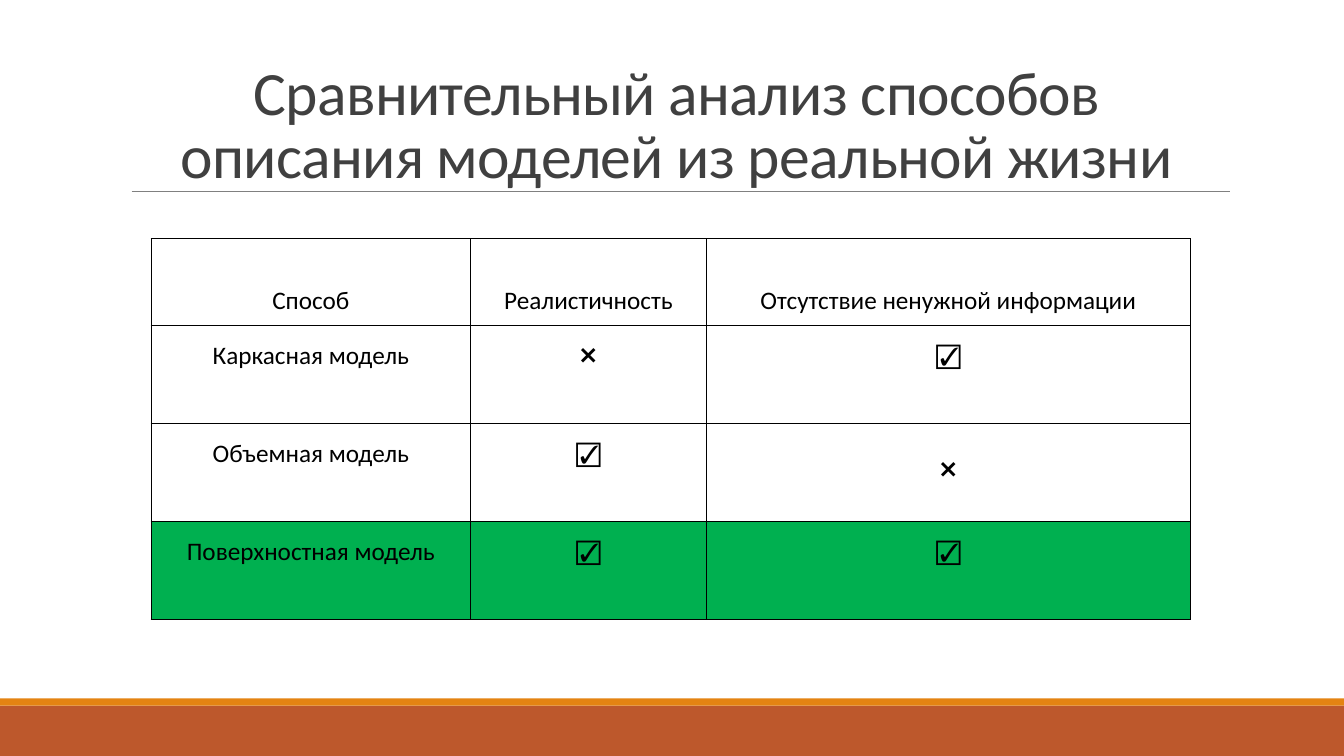
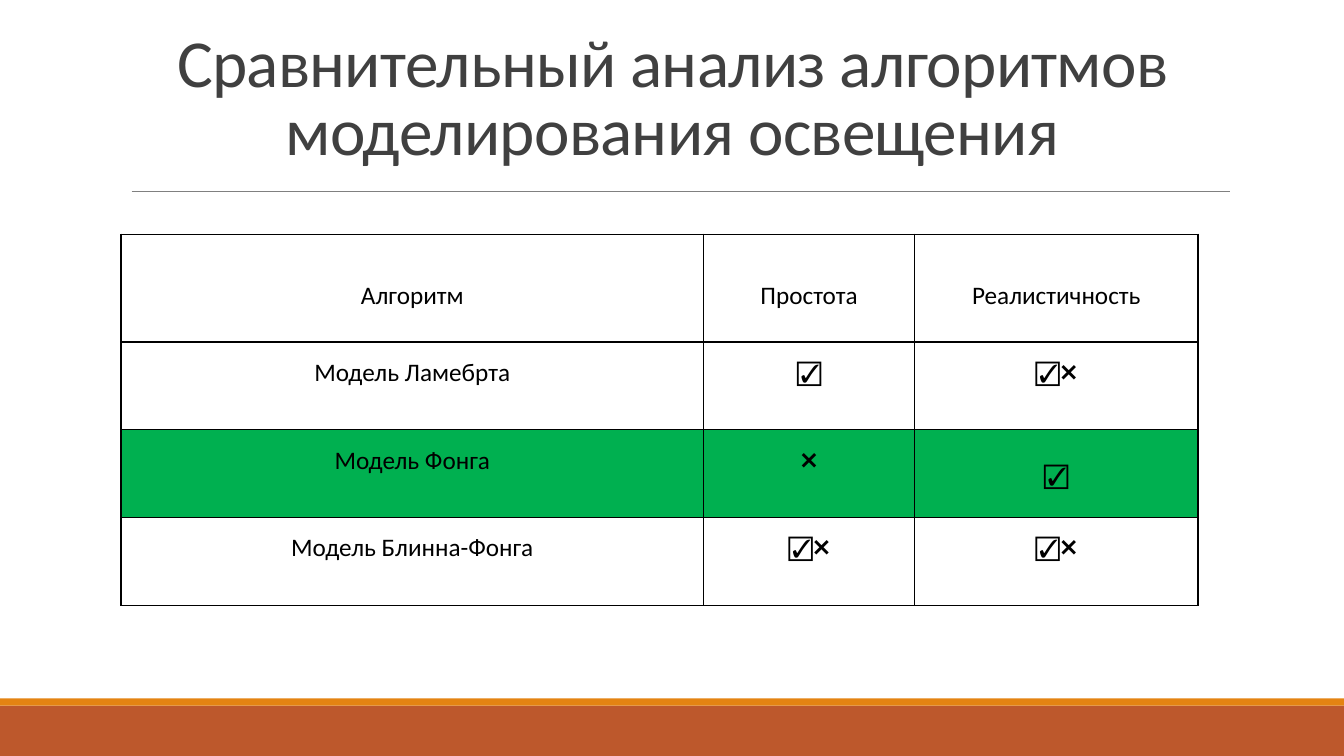
from dataclasses import dataclass

from lxml.etree import SubElement
from pptx import Presentation
from pptx.dml.color import RGBColor as RGB
from pptx.enum.shapes import MSO_CONNECTOR as CONN, MSO_SHAPE as SHAPE
from pptx.enum.text import MSO_ANCHOR as ANCHOR, PP_ALIGN as ALIGN
from pptx.oxml.ns import qn
from pptx.util import Cm, Pt


@dataclass(frozen=True)
class Theme:
    font: str = "Calibri"
    cell_size: int = 18
    rule_width: float = 0.5
    border_width: int = 1
    title: RGB = RGB(0x40, 0x40, 0x40)
    text: RGB = RGB(0, 0, 0)
    border: str = "000000"
    paper: RGB = RGB(0xFF, 0xFF, 0xFF)
    rule: RGB = RGB(0x80, 0x80, 0x80)
    band: RGB = RGB(0xBD, 0x58, 0x2C)
    stripe: RGB = RGB(0xE4, 0x83, 0x12)
    best: RGB = RGB(0x00, 0xB0, 0x50)


WIDTH, HEIGHT = 33.87, 19.05
YES, NO = "☑", "❌"
HEADER_SPACING, BODY_SPACING, LOW_SPACING = 2.5, 1.5, 2.0


class Deck:
    def __init__(self, theme):
        self.theme = theme
        self.prs = Presentation()
        self.prs.slide_width, self.prs.slide_height = Cm(WIDTH), Cm(HEIGHT)
        self.slide = None

    def new_slide(self):
        """Start a slide with the shared bands and title rule."""
        self.slide = self.prs.slides.add_slide(self.prs.slide_layouts[6])
        self.band(17.78, 1.27, self.theme.band)
        self.band(17.6, 0.18, self.theme.stripe)
        self.rule(3.32, 31, 4.82)

    def band(self, top, height, color):
        sp = self.slide.shapes.add_shape(
            SHAPE.RECTANGLE, 0, Cm(top), Cm(WIDTH), Cm(height))
        sp.shadow.inherit = False
        sp.fill.solid()
        sp.fill.fore_color.rgb = color
        sp.line.fill.background()

    def rule(self, left, right, y):
        line = self.slide.shapes.add_connector(
            CONN.STRAIGHT, Cm(left), Cm(y), Cm(right), Cm(y))
        line.line.color.rgb = self.theme.rule
        line.line.width = Pt(self.theme.rule_width)
        SubElement(line._element.spPr, qn("a:effectLst"))

    def add_text(self, p, text, size, color, spacing):
        p.alignment = ALIGN.CENTER
        p.line_spacing = spacing
        r = p.add_run()
        r.text = text
        p.font.name, p.font.size = self.theme.font, Pt(size)
        p.font.color.rgb = color
        return r

    def title(self, left, top, text, size):
        sp = self.slide.shapes.add_textbox(
            Cm(left), Cm(top), Cm(26.87), Cm(3.18))
        tf = sp.text_frame
        tf.word_wrap = True
        tf.vertical_anchor = ANCHOR.BOTTOM
        r = self.add_text(tf.paragraphs[0], text, size, self.theme.title, 0.85)
        r._r.get_or_add_rPr().set("spc", "-50")

    def table(self, left, top, cols, header_height, row_height, rows,
              best_row, low_cell):
        """Draw a table; best_row is filled, low_cell has its mark set lower."""
        heights = [header_height] + [row_height] * (len(rows) - 1)
        table = self.slide.shapes.add_table(
            len(rows), len(cols), Cm(left), Cm(top),
            Cm(sum(cols)), Cm(sum(heights))).table
        table.first_row = table.horz_banding = False
        for col, width in zip(table.columns, cols):
            col.width = Cm(width)
        for i, (row, height) in enumerate(zip(table.rows, heights)):
            row.height = Cm(height)
            fill = self.theme.best if i == best_row else self.theme.paper
            for j, cell in enumerate(row.cells):
                if i == 0:
                    spacing = HEADER_SPACING
                else:
                    spacing = LOW_SPACING if (i, j) == low_cell else BODY_SPACING
                self.cell(cell, rows[i][j], fill, spacing)

    def cell(self, cell, text, fill, spacing):
        cell.margin_left = cell.margin_right = Cm(0.19)
        cell.margin_top = cell.margin_bottom = 0
        # Borders come before the fill in the cell properties
        tc_pr = cell._tc.get_or_add_tcPr()
        for side in ("lnL", "lnR", "lnT", "lnB"):
            ln = SubElement(tc_pr, qn(f"a:{side}"),
                            w=str(Pt(self.theme.border_width)))
            solid = SubElement(ln, qn("a:solidFill"))
            SubElement(solid, qn("a:srgbClr"), val=self.theme.border)
        cell.fill.solid()
        cell.fill.fore_color.rgb = fill
        self.add_text(cell.text_frame.paragraphs[0], text,
                      self.theme.cell_size, self.theme.text, spacing)


def main():
    deck = Deck(Theme())

    # Ways of describing models
    deck.new_slide()
    deck.title(3.61, 1.75, "Сравнительный анализ способов описания "
               "моделей из реальной жизни", 44)
    deck.table(3.81, 6.02, [8.05, 5.94, 12.2], 2.18, 2.47, [
        ("Способ", "Реалистичность", "Отсутствие ненужной информации"),
        ("Каркасная модель", NO, YES),
        ("Объемная модель", YES, NO),
        ("Поверхностная модель", YES, YES),
    ], best_row=3, low_cell=(2, 2))

    # Lighting algorithms
    deck.new_slide()
    deck.title(3.51, 1.22, "Сравнительный анализ алгоритмов "
               "моделирования освещения", 48)
    deck.table(3.05, 5.9, [14.68, 5.32, 7.14], 2.72, 2.21, [
        ("Алгоритм", "Простота", "Реалистичность"),
        ("Модель Ламебрта", YES, YES + NO),
        ("Модель Фонга", NO, YES),
        ("Модель Блинна-Фонга", YES + NO, YES + NO),
    ], best_row=2, low_cell=(2, 2))

    deck.prs.save("out.pptx")


if __name__ == "__main__":
    main()
